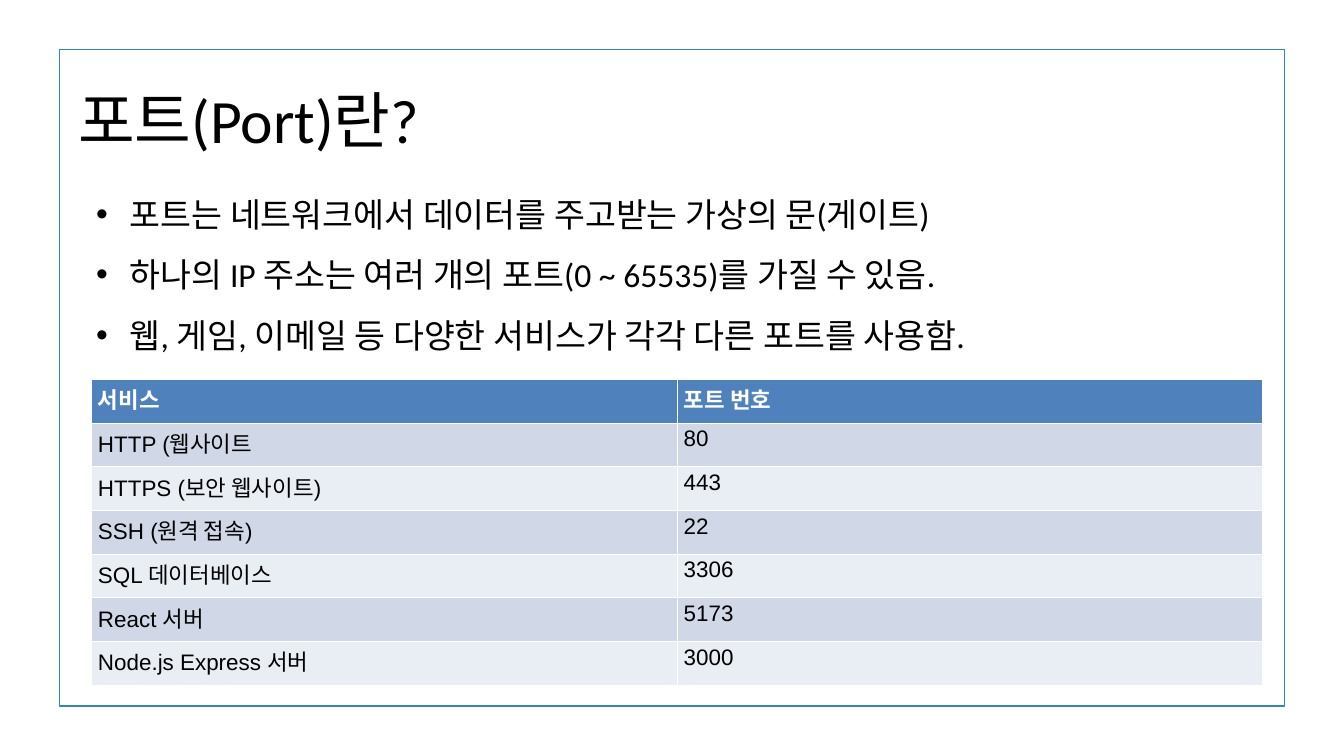
from dataclasses import dataclass
from typing import NamedTuple

from pptx import Presentation
from pptx.dml.color import RGBColor as Rgb
from pptx.enum.shapes import MSO_SHAPE as Shape
from pptx.enum.text import MSO_ANCHOR as Anchor, MSO_AUTO_SIZE as Fit, PP_ALIGN as Align
from pptx.util import Cm, Pt


@dataclass(frozen=True)
class Theme:
    white: Rgb = Rgb.from_string("FFFFFF")
    ink: Rgb = Rgb.from_string("000000")
    edge: Rgb = Rgb.from_string("3087BB")
    head: Rgb = Rgb.from_string("4F81BD")
    bands: tuple = (Rgb.from_string("D0D8E8"), Rgb.from_string("E9EDF4"))
    text: str = "Calibri"
    grid: str = "Arial"
    big: Pt = Pt(66)
    mid: Pt = Pt(36)
    small: Pt = Pt(24)


class Box(NamedTuple):
    left: float
    top: float
    width: float
    height: float

    def sizes(self) -> list:
        return [Cm(n) for n in self]


class Port(NamedTuple):
    service: str
    number: str


THEME = Theme()
FRAME = Box(2.26, 1.88, 46.3, 24.81)
TITLE = Box(2.95, 3.1, 44.78, 2.82)
BODY = Box(3.38, 6.43, 43.38, 6.93)
GRID = Box(3.45, 14.35, 44.28, 11.55)

POINTS = [
    "포트는 네트워크에서 데이터를 주고받는 가상의 문(게이트)",
    "하나의 IP 주소는 여러 개의 포트(0 ~ 65535)를 가질 수 있음.",
    "웹, 게임, 이메일 등 다양한 서비스가 각각 다른 포트를 사용함.",
]
PORTS = [
    Port("서비스", "포트 번호"),
    Port("HTTP (웹사이트", "80"),
    Port("HTTPS (보안 웹사이트)", "443"),
    Port("SSH (원격 접속)", "22"),
    Port("SQL 데이터베이스", "3306"),
    Port("React 서버", "5173"),
    Port("Node.js Express 서버", "3000"),
]


def style(para, face: str, size: Pt, color: Rgb, bold: bool = False) -> None:
    font = para.font
    font.name, font.size, font.bold = face, size, bold
    font.color.rgb = color


def place(shape, box: Box) -> None:
    shape.left, shape.top, shape.width, shape.height = box.sizes()
    text = shape.text_frame
    text.auto_size = Fit.NONE
    text.word_wrap = True
    text.vertical_anchor = Anchor.TOP


def add_frame(slide) -> None:
    frame = slide.shapes.add_shape(Shape.RECTANGLE, *FRAME.sizes())
    frame.shadow.inherit = False
    frame.fill.solid()
    frame.fill.fore_color.rgb = THEME.white
    frame.line.color.rgb = THEME.edge
    frame.line.width = Pt(1.5)
    slide.shapes._spTree.insert(2, frame._element)


def fill_title(shape, words: str) -> None:
    place(shape, TITLE)
    text = shape.text_frame
    text.margin_left = text.margin_right = text.margin_top = text.margin_bottom = 0
    text.text = words
    para = text.paragraphs[0]
    para.alignment = Align.LEFT
    style(para, THEME.text, THEME.big, THEME.ink)


def fill_body(shape, points: list[str]) -> None:
    place(shape, BODY)
    shape.text_frame.text = "\n".join(points)
    for para in shape.text_frame.paragraphs:
        style(para, THEME.text, THEME.mid, THEME.ink)
        para.line_spacing = 1.5
        para.space_before = Pt(0)
        props = para._p.get_or_add_pPr()
        props.set("marL", str(Cm(1.27)))
        props.set("indent", str(-Cm(1.27)))


def add_grid(slide, ports: list[Port]) -> None:
    table = slide.shapes.add_table(len(ports), len(Port._fields), *GRID.sizes()).table
    for row, port in enumerate(ports):
        head = row == 0
        for col, words in enumerate(port):
            cell = table.cell(row, col)
            cell.text = words
            cell.fill.solid()
            cell.fill.fore_color.rgb = THEME.head if head else THEME.bands[(row - 1) % 2]
            color = THEME.white if head else THEME.ink
            style(cell.text_frame.paragraphs[0], THEME.grid, THEME.small, color, head)


def main() -> None:
    deck = Presentation()
    deck.slide_width, deck.slide_height = Cm(50.8), Cm(28.58)
    slide = deck.slides.add_slide(deck.slide_layouts[1])
    add_frame(slide)
    fill_title(slide.shapes.title, "포트(Port)란?")
    fill_body(slide.placeholders[1], POINTS)
    add_grid(slide, PORTS)
    deck.save("out.pptx")


if __name__ == "__main__":
    main()
